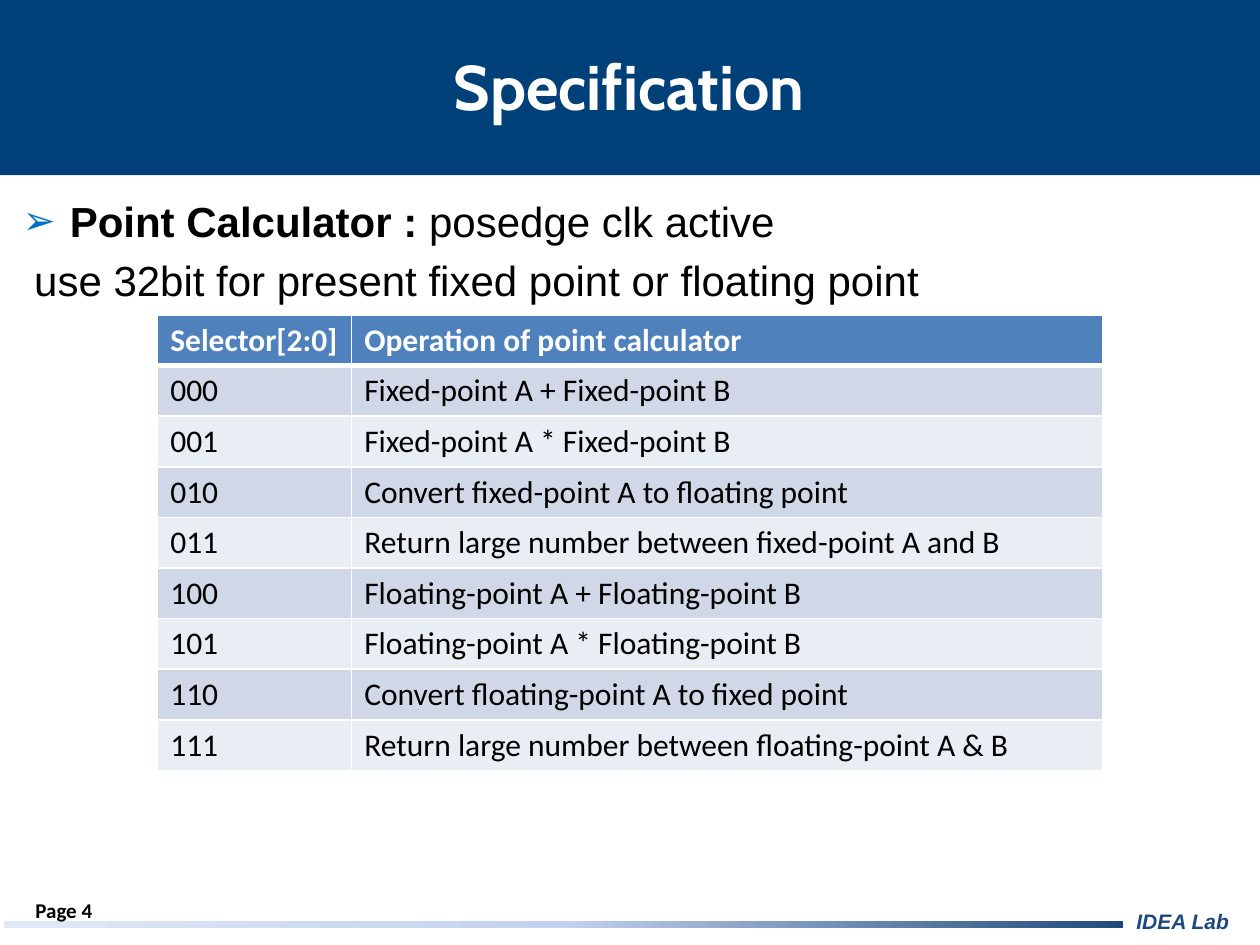
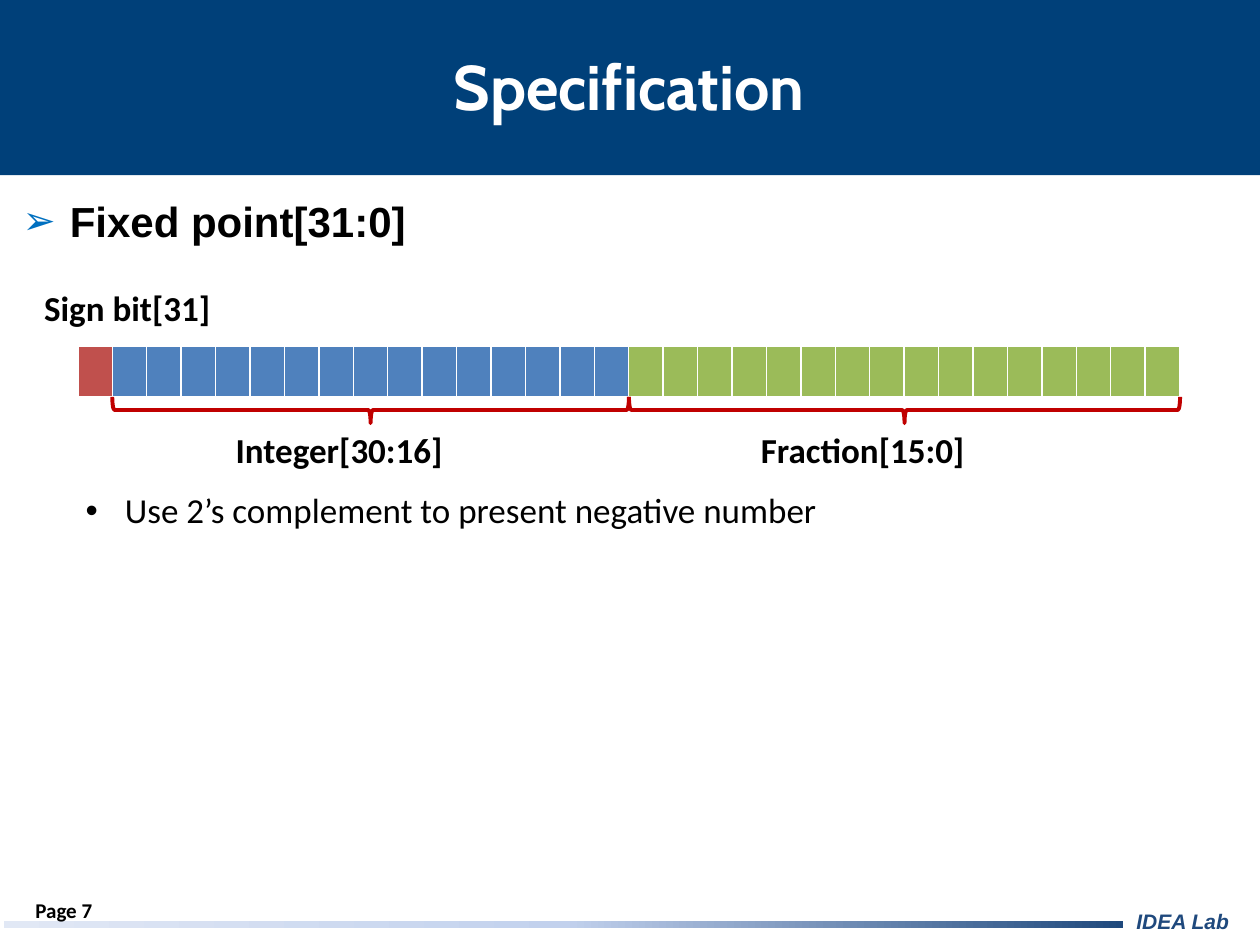
from dataclasses import dataclass
from typing import NamedTuple

from lxml.etree import SubElement as Sub
from pptx import Presentation
from pptx.dml.color import RGBColor
from pptx.enum.shapes import MSO_SHAPE as Form
from pptx.enum.text import MSO_ANCHOR as Anchor, MSO_AUTO_SIZE as Fit, PP_ALIGN as Align
from pptx.oxml.ns import qn
from pptx.util import Cm, Pt

NAVY, BLUE, GREEN, RED = "004079", "4F81BD", "9BBB59", "C0504D"
INK, LIGHT, BRAND, BRACE, MARK = "000000", "FFFFFF", "1F497D", "C00000", "0070C0"
BANDS = ("E9EDF4", "D0D8E8")
FADE = ((0, BRAND), (50, "C2D1ED"), (100, "E1E8F5"))


class Box(NamedTuple):
    left: float
    top: float
    width: float
    height: float

    def place(self) -> list:
        return [Cm(side) for side in self]


@dataclass(frozen=True)
class Style:
    font: str
    size: float
    color: str = INK
    bold: bool = False
    slant: bool = False


@dataclass(frozen=True)
class Field:
    label: str
    bits: int
    color: str
    spot: Box
    brace: bool = True


TITLE = Style("Cabin", 36, LIGHT, True)
LEAD = Style("Arial", 24, bold=True)
PLAIN = Style("Arial", 24)
NOTE = Style("Calibri", 20)
LABEL = Style("Calibri", 20, bold=True)
PAGE = Style("Calibri", 12, bold=True)
LAB = Style("Arial", 12, BRAND, True, True)
HEAD = Style("Calibri", 18, LIGHT, True)
CELL = Style("Calibri", 18)

HEADER = Box(0, 0, 25.43, 3.53)
RULE = Box(0.08, 18.57, 22.56, 0.13)
LAB_BOX = Box(22.66, 18.19, 2.97, 0.76)
TITLE_BOX = Box(-0.03, 0, 25.43, 3.45)
BODY_BOX = Box(0.2, 3.81, 24.97, 15.24)
PAGE_BOX = Box(0, 17.83, 2.11, 1.02)
OPS_BOX = Box(3.18, 6.35, 19.05, 9.18)
BITS_BOX = Box(1.57, 6.99, 22.22, 1.04)
BRACE_TOP, BRACE_DEEP = 8, 0.53

OPS = (
    ("Selector[2:0]", "Operation of point calculator"),
    ("000", "Fixed-point A + Fixed-point B"),
    ("001", "Fixed-point A * Fixed-point B"),
    ("010", "Convert fixed-point A to floating point"),
    ("011", "Return large number between fixed-point A and B"),
    ("100", "Floating-point A + Floating-point B"),
    ("101", "Floating-point A * Floating-point B"),
    ("110", "Convert floating-point A to fixed point"),
    ("111", "Return large number between floating-point A & B"),
)
FIELDS = (
    Field("Sign bit[31]", 1, RED, Box(0.64, 5.66, 3.89, 1.12), False),
    Field("Integer[30:16]", 15, BLUE, Box(4.5, 8.51, 4.72, 1.12)),
    Field("Fraction[15:0]", 16, GREEN, Box(15.09, 8.51, 4.65, 1.12)),
)


def rgb(code: str) -> RGBColor:
    return RGBColor.from_string(code)


def dress(run, style: Style) -> None:
    font = run.font
    font.name, font.size = style.font, Pt(style.size)
    font.bold, font.italic = style.bold, style.slant
    font.color.rgb = rgb(style.color)


def write(para, *parts: tuple[str, Style]) -> None:
    for text, style in parts:
        run = para.add_run()
        run.text = text
        dress(run, style)


def add_text(slide, box: Box, text: str, style: Style, wrap: bool = True):
    shape = slide.shapes.add_textbox(*box.place())
    frame = shape.text_frame
    frame.word_wrap = wrap
    frame.text = text
    dress(frame.paragraphs[0].runs[0], style)
    return shape


def add_form(slide, form: Form, box: Box):
    shape = slide.shapes.add_shape(form, *box.place())
    shape.shadow.inherit = False
    return shape


def set_mark(para, char: str, color: str, scale: int) -> None:
    props = para._p.get_or_add_pPr()
    Sub(Sub(props, qn("a:buClr")), qn("a:srgbClr"), val=color)
    Sub(props, qn("a:buSzPct"), val=str(scale * 1000))
    Sub(props, qn("a:buFont"), typeface="Arial")
    Sub(props, qn("a:buChar"), char=char)


def drop_mark(para) -> None:
    props = para._p.get_or_add_pPr()
    props.set("marL", "0")
    props.set("indent", "0")
    Sub(props, qn("a:buNone"))


def set_edge(cell, top: int, base: int) -> None:
    props = cell._tc.get_or_add_tcPr()
    for spot, (side, width) in enumerate((("L", 1), ("R", 1), ("T", top), ("B", base))):
        line = Sub(props, qn(f"a:ln{side}"), w=str(Pt(width)))
        Sub(Sub(line, qn("a:solidFill")), qn("a:srgbClr"), val=LIGHT)
        props.insert(spot, line)


def add_grid(slide, box: Box, fills: list[list[str]]):
    table = slide.shapes.add_table(len(fills), len(fills[0]), *box.place()).table
    table.first_row = table.horz_banding = False
    for row, colors in enumerate(fills):
        for col, color in enumerate(colors):
            cell = table.cell(row, col)
            cell.fill.solid()
            cell.fill.fore_color.rgb = rgb(color)
            set_edge(cell, 3 if row == 1 else 1, 3 if row == 0 else 1)
    return table


def set_frame(slide, layout) -> None:
    band = add_form(slide, Form.RECTANGLE, HEADER)
    band.fill.solid()
    band.fill.fore_color.rgb = rgb(NAVY)
    rule = add_form(slide, Form.RECTANGLE, RULE)
    rule.fill.gradient()
    rule.fill.gradient_angle = 180
    stops = rule.element.find(".//" + qn("a:gsLst"))
    stops.clear()
    for place, color in FADE:
        Sub(Sub(stops, qn("a:gs"), pos=str(place * 1000)), qn("a:srgbClr"), val=color)
    lab = add_text(slide, LAB_BOX, "IDEA Lab", LAB)
    for shape in (band, rule):
        shape.line.fill.background()
    tree = layout.shapes._spTree
    for holder in list(layout.placeholders)[2:]:
        tree.remove(holder.element)
    for spot, shape in enumerate((band, rule, lab), 2):
        tree.insert(spot, shape.element)


def set_page(slide, page: int):
    title, body = slide.placeholders
    for shape, box in ((title, TITLE_BOX), (body, BODY_BOX)):
        shape.left, shape.top, shape.width, shape.height = box.place()
        shape.text_frame.auto_size = Fit.NONE
    frame = title.text_frame
    frame.text = "Specification"
    frame.vertical_anchor = Anchor.MIDDLE
    frame.paragraphs[0].alignment = Align.CENTER
    dress(frame.paragraphs[0].runs[0], TITLE)
    foot = add_text(slide, PAGE_BOX, f"Page {page}", PAGE).text_frame
    foot.vertical_anchor = Anchor.MIDDLE
    foot.paragraphs[0].alignment = Align.RIGHT
    lead = body.text_frame.paragraphs[0]
    set_mark(lead, "➢", MARK, 94)
    return body.text_frame, lead


def add_ops(slide) -> None:
    frame, lead = set_page(slide, 4)
    write(lead, ("Point Calculator : ", LEAD), ("posedge clk active", PLAIN))
    more = frame.add_paragraph()
    drop_mark(more)
    write(more, (" use 32bit for present fixed point or floating point", PLAIN))
    fills = [[BANDS[row % 2] if row else BLUE] * 2 for row in range(len(OPS))]
    table = add_grid(slide, OPS_BOX, fills)
    for col, width in zip(table.columns, (3.91, 15.14)):
        col.width = Cm(width)
    for row, texts in enumerate(OPS):
        for col, text in enumerate(texts):
            para = table.cell(row, col).text_frame.paragraphs[0]
            write(para, (text, CELL if row else HEAD))


def add_bits(slide) -> None:
    frame, lead = set_page(slide, 7)
    write(lead, ("Fixed point[31:0]", LEAD))
    note = frame.add_paragraph()
    note.level = 1
    note.space_before = Pt(139)
    set_mark(note, "•", INK, 100)
    write(note, ("Use 2’s complement to present negative number", NOTE))
    fills = [field.color for field in FIELDS for _ in range(field.bits)]
    add_grid(slide, BITS_BOX, [fills])
    step = BITS_BOX.width / len(fills)
    left = BITS_BOX.left
    for field in FIELDS:
        span = field.bits * step
        if field.brace:
            mid = left + span / 2
            box = Box(mid - BRACE_DEEP / 2, BRACE_TOP + (BRACE_DEEP - span) / 2, BRACE_DEEP, span)
            brace = add_form(slide, Form.LEFT_BRACE, box)
            brace.rotation = 270
            brace.fill.background()
            brace.line.color.rgb = rgb(BRACE)
            brace.line.width = Pt(2.25)
        add_text(slide, field.spot, field.label, LABEL, False)
        left += span


def main() -> None:
    deck = Presentation()
    deck.slide_width, deck.slide_height = Cm(25.4), Cm(19.05)
    layout = deck.slide_layouts[1]
    first, second = (deck.slides.add_slide(layout) for _ in range(2))
    set_frame(first, layout)
    add_ops(first)
    add_bits(second)
    deck.save("out.pptx")


if __name__ == "__main__":
    main()
